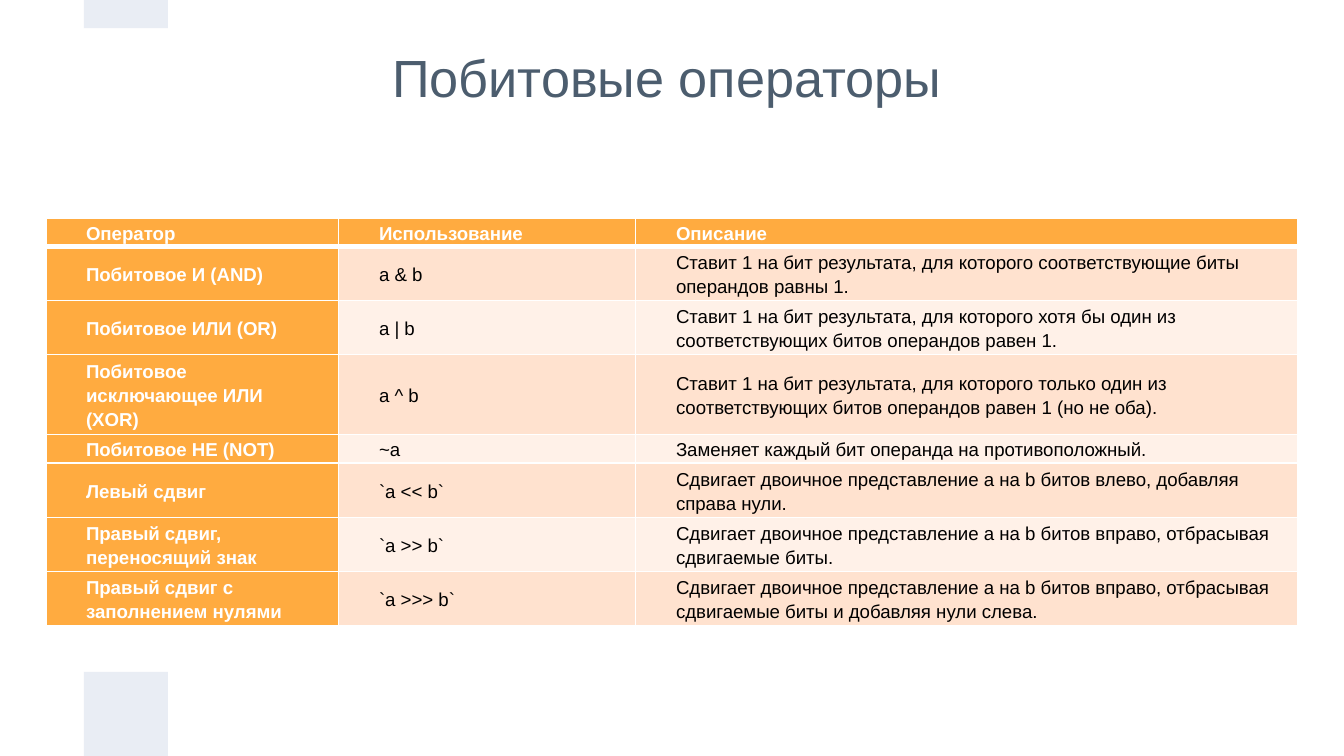
from dataclasses import dataclass

from pptx import Presentation
from pptx.dml.color import RGBColor
from pptx.enum.shapes import MSO_SHAPE as Shape
from pptx.enum.text import MSO_ANCHOR as Anchor, PP_ALIGN as Align
from pptx.oxml.ns import qn
from pptx.util import Inches, Pt
from lxml.etree import SubElement

SLIDE_WIDTH = 10
SLIDE_HEIGHT = SLIDE_WIDTH * 9 / 16
BLOCK_SIDE = SLIDE_WIDTH / 16


@dataclass(frozen=True)
class Theme:
    font: str = "Arial"
    title_size: int = 28
    table_size: int = 10
    title: str = "4C5D6E"
    accent: str = "E9EDF4"
    header: str = "FFAB40"
    bands: tuple = ("FFE2CF", "FFF1E8")
    light: str = "FFFFFF"
    dark: str = "000000"


class SlideBuilder:
    def __init__(self, slide, theme):
        self.slide = slide
        self.theme = theme

    def style(self, paragraph, size, color, bold=False):
        font = paragraph.font
        font.name, font.size, font.bold = self.theme.font, Pt(size), bold
        font.color.rgb = RGBColor.from_string(color)

    def title(self, text, left, top, width, height):
        box = self.slide.shapes.add_textbox(
            Inches(left), Inches(top), Inches(width), Inches(height))
        frame = box.text_frame
        frame.word_wrap = True
        frame.vertical_anchor = Anchor.MIDDLE
        frame.margin_left = frame.margin_right = Inches(0.1)
        frame.margin_top = frame.margin_bottom = Inches(0.1)
        paragraph = frame.paragraphs[0]
        paragraph.text = text
        paragraph.alignment = Align.CENTER
        self.style(paragraph, self.theme.title_size, self.theme.title)

    def block(self, left, top, width, height):
        shape = self.slide.shapes.add_shape(
            Shape.RECTANGLE, Inches(left), Inches(top), Inches(width), Inches(height))
        shape.shadow.inherit = False
        shape.fill.solid()
        shape.fill.fore_color.rgb = RGBColor.from_string(self.theme.accent)
        shape.line.fill.background()

    def borders(self, cell, **widths):
        properties = cell._tc.get_or_add_tcPr()
        for side, width in widths.items():
            line = SubElement(properties, qn(f"a:ln{side}"), w=str(Pt(width)))
            fill = SubElement(line, qn("a:solidFill"))
            SubElement(fill, qn("a:srgbClr"), val=self.theme.light)

    def cell(self, cell, text, fill, color, bold, anchor, top_border, bottom_border):
        self.borders(cell, L=1, R=1, T=top_border, B=bottom_border)
        cell.fill.solid()
        cell.fill.fore_color.rgb = RGBColor.from_string(fill)
        cell.vertical_anchor = anchor
        cell.margin_left, cell.margin_right = Inches(0.05), Inches(0.17)
        cell.margin_top = cell.margin_bottom = Inches(0.01)
        paragraph = cell.text_frame.paragraphs[0]
        paragraph.text = text
        paragraph.line_spacing = 1.15
        paragraph.space_before = paragraph.space_after = Pt(10)
        properties = paragraph._p.get_or_add_pPr()
        properties.set("marL", str(Inches(0.25)))
        properties.set("indent", "0")
        self.style(paragraph, self.theme.table_size, color, bold)

    def table(self, rows, left, top, column_widths, height):
        theme = self.theme
        shape = self.slide.shapes.add_table(
            len(rows), len(column_widths), Inches(left), Inches(top),
            Inches(sum(column_widths)), Inches(height))
        table = shape.table
        for column, width in zip(table.columns, column_widths):
            column.width = Inches(width)
        for i, row in enumerate(rows):
            # A zero height lets the row take the height of its text
            table.rows[i].height = 0
            is_header = i == 0
            for j, text in enumerate(row):
                is_label = is_header or j == 0
                self.cell(
                    table.cell(i, j), text,
                    fill=theme.header if is_label else theme.bands[(i - 1) % 2],
                    color=theme.light if is_label else theme.dark,
                    bold=is_label,
                    anchor=Anchor.BOTTOM if is_header else Anchor.MIDDLE,
                    top_border=3 if i == 1 else 1,
                    bottom_border=3 if is_header else 1)
        shape.height = Inches(height)


OPERATORS = [
    ("Оператор", "Использование", "Описание"),
    ("Побитовое И (AND)", "a & b",
     "Ставит 1 на бит результата, для которого соответствующие биты операндов равны 1."),
    ("Побитовое ИЛИ (OR)", "a | b",
     "Ставит 1 на бит результата, для которого хотя бы один из "
     "соответствующих битов операндов равен 1."),
    ("Побитовое исключающее ИЛИ (XOR)", "a ^ b",
     "Ставит 1 на бит результата, для которого только один из "
     "соответствующих битов операндов равен 1 (но не оба)."),
    ("Побитовое НЕ (NOT)", "~a",
     "Заменяет каждый бит операнда на противоположный."),
    ("Левый сдвиг", "`a << b`",
     "Сдвигает двоичное представление a на b битов влево, добавляя справа нули."),
    ("Правый сдвиг, переносящий знак", "`a >> b`",
     "Сдвигает двоичное представление a на b битов вправо, отбрасывая сдвигаемые биты."),
    ("Правый сдвиг с заполнением нулями", "`a >>> b`",
     "Сдвигает двоичное представление a на b битов вправо, отбрасывая "
     "сдвигаемые биты и добавляя нули слева."),
]


def main():
    presentation = Presentation()
    presentation.slide_width = Inches(SLIDE_WIDTH)
    presentation.slide_height = Inches(SLIDE_HEIGHT)
    slide = presentation.slides.add_slide(presentation.slide_layouts[6])
    builder = SlideBuilder(slide, Theme())

    # Title
    builder.title("Побитовые операторы", 0.04, 0.3, 9.84, 0.54)

    # Accent blocks at the bottom and top edges
    for top, height in ((SLIDE_HEIGHT - BLOCK_SIDE, BLOCK_SIDE), (0, 0.21)):
        builder.block(BLOCK_SIDE, top, BLOCK_SIDE, height)

    # Operator table
    builder.table(OPERATORS, 0.34, 1.62, (2.18, 2.21, 4.93), height=3.08)

    presentation.save("out.pptx")


if __name__ == "__main__":
    main()
